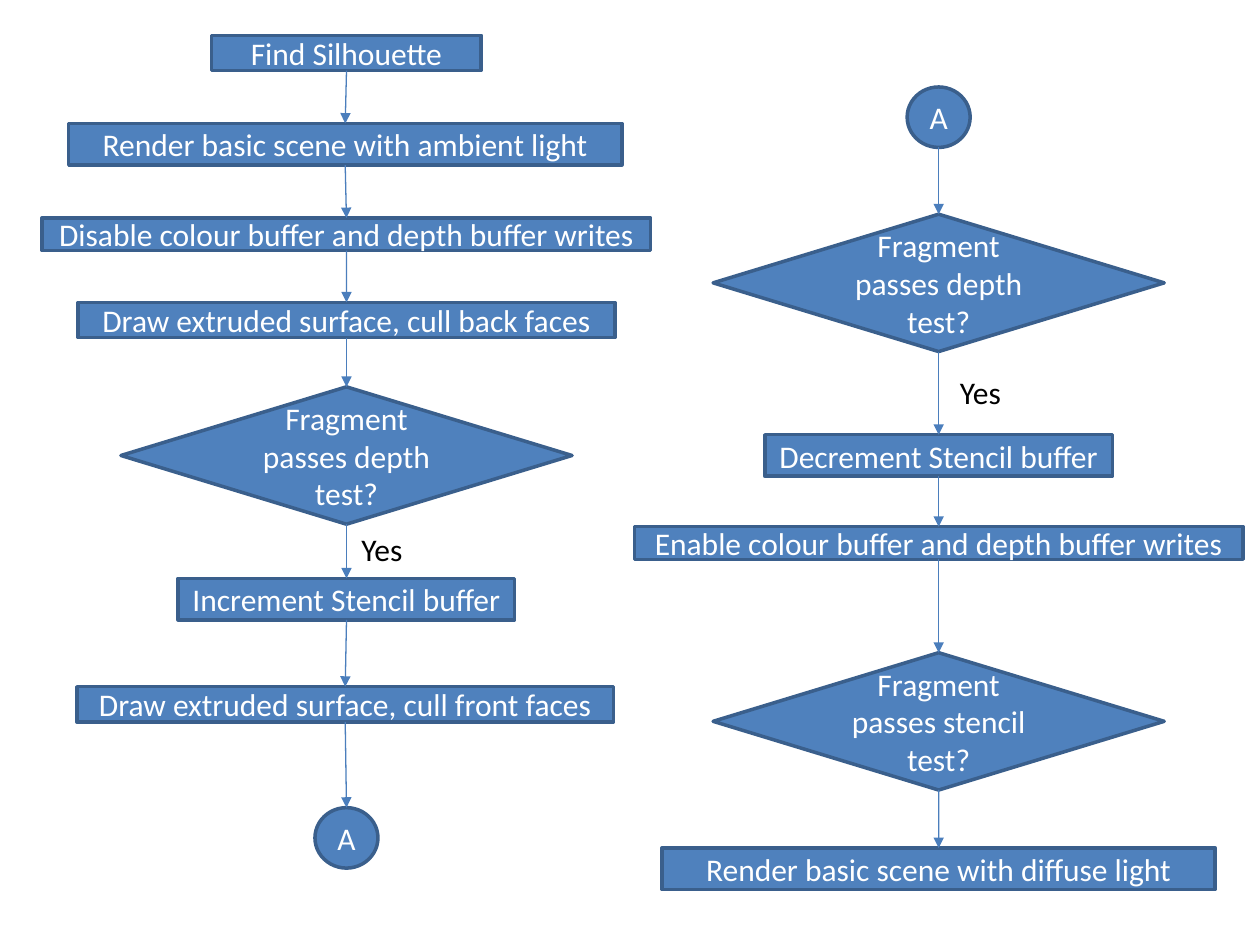
from itertools import pairwise

from lxml import etree
from pptx import Presentation
from pptx.dml.color import RGBColor
from pptx.enum import shapes, text
from pptx.oxml.ns import qn
from pptx.util import Inches, Pt

BLUE = RGBColor(0x4F, 0x81, 0xBD)
OUTLINE = RGBColor(0x3A, 0x5F, 0x8C)
ARROW = RGBColor(0x4B, 0x7E, 0xBC)
WHITE = RGBColor(0xFF, 0xFF, 0xFF)
BLACK = RGBColor(0, 0, 0)

STEP = shapes.MSO_SHAPE.RECTANGLE
TEST = shapes.MSO_SHAPE.FLOWCHART_DECISION
JUMP = shapes.MSO_SHAPE.OVAL
TEST_SIZE = (3.58, 1.09)
JUMP_SIZE = (0.5, 0.48)
TOP, BOTTOM = 0, 2

# Each node: kind, centre x, top, (width, height), wording
FIRST_PASS = [
    (STEP, 2.75, 0.28, (2.14, 0.28), "Find Silhouette"),
    (STEP, 2.74, 0.98, (4.39, 0.33), "Render basic scene with ambient light"),
    (STEP, 2.75, 1.73, (4.83, 0.26), "Disable colour buffer and depth buffer writes"),
    (STEP, 2.75, 2.4, (4.26, 0.28), "Draw extruded surface, cull back faces"),
    (TEST, 2.75, 3.07, TEST_SIZE, "Fragment passes depth test?"),
    (STEP, 2.75, 4.59, (2.67, 0.33), "Increment Stencil buffer"),
    (STEP, 2.74, 5.45, (4.26, 0.28), "Draw extruded surface, cull front faces"),
    (JUMP, 2.75, 6.41, JUMP_SIZE, "A"),
]
SECOND_PASS = [
    (JUMP, 7.45, 0.69, JUMP_SIZE, "A"),
    (TEST, 7.45, 1.7, TEST_SIZE, "Fragment passes depth test?"),
    (STEP, 7.45, 3.45, (2.76, 0.33), "Decrement Stencil buffer"),
    (STEP, 7.45, 4.18, (4.83, 0.26), "Enable colour buffer and depth buffer writes"),
    (TEST, 7.45, 5.18, TEST_SIZE, "Fragment passes stencil test?"),
    (STEP, 7.45, 6.73, (4.39, 0.33), "Render basic scene with diffuse light"),
]
YES_LABELS = [(2.77, 4.16), (7.52, 2.91)]


class Flowchart:
    """Draws the chart's elements on one slide in one style."""

    FONT = {"name": "Calibri", "size": Pt(18)}

    def __init__(self, slide):
        self.shapes = slide.shapes

    def wording(self, frame, words, color, align):
        frame.word_wrap = True
        paragraph = frame.paragraphs[0]
        paragraph.alignment = align
        run = paragraph.add_run()
        run.text = words
        for attribute, value in self.FONT.items():
            setattr(run.font, attribute, value)
        run.font.color.rgb = color

    def node(self, kind, center, top, size, words):
        width, height = size
        node = self.shapes.add_shape(
            kind, Inches(center - width / 2), Inches(top), Inches(width), Inches(height))
        node.shadow.inherit = False
        node.fill.solid()
        node.fill.fore_color.rgb = BLUE
        node.line.color.rgb = OUTLINE
        node.line.width = Pt(2)
        node.text_frame.vertical_anchor = text.MSO_ANCHOR.MIDDLE
        self.wording(node.text_frame, words, WHITE, text.PP_ALIGN.CENTER)
        return node

    def arrow(self, source, target):
        """Join the bottom of source to the top of target."""
        arrow = self.shapes.add_connector(
            shapes.MSO_CONNECTOR.STRAIGHT,
            source.left + source.width // 2, source.top + source.height,
            target.left + target.width // 2, target.top)
        if source.auto_shape_type != JUMP:  # site 2 of an oval is not its bottom
            arrow.begin_connect(source, BOTTOM)
        arrow.end_connect(target, TOP)
        arrow.line.color.rgb = ARROW
        arrow.line.width = Pt(0.75)
        outline = arrow._element.spPr.find(qn("a:ln"))
        etree.SubElement(outline, qn("a:tailEnd"), type="triangle")
        etree.SubElement(arrow._element.spPr, qn("a:effectLst"))

    def label(self, left, top, words):
        box = self.shapes.add_textbox(Inches(left), Inches(top), Inches(0.82), Inches(0.4))
        box.text_frame.auto_size = text.MSO_AUTO_SIZE.SHAPE_TO_FIT_TEXT
        self.wording(box.text_frame, words, BLACK, text.PP_ALIGN.LEFT)


def main():
    deck = Presentation()
    deck.slide_width, deck.slide_height = Inches(10), Inches(7.5)
    chart = Flowchart(deck.slides.add_slide(deck.slide_layouts[6]))
    for column in (FIRST_PASS, SECOND_PASS):
        nodes = [chart.node(*details) for details in column]
        for source, target in pairwise(nodes):
            chart.arrow(source, target)
    for left, top in YES_LABELS:
        chart.label(left, top, "Yes")
    deck.save("out.pptx")


if __name__ == "__main__":
    main()
